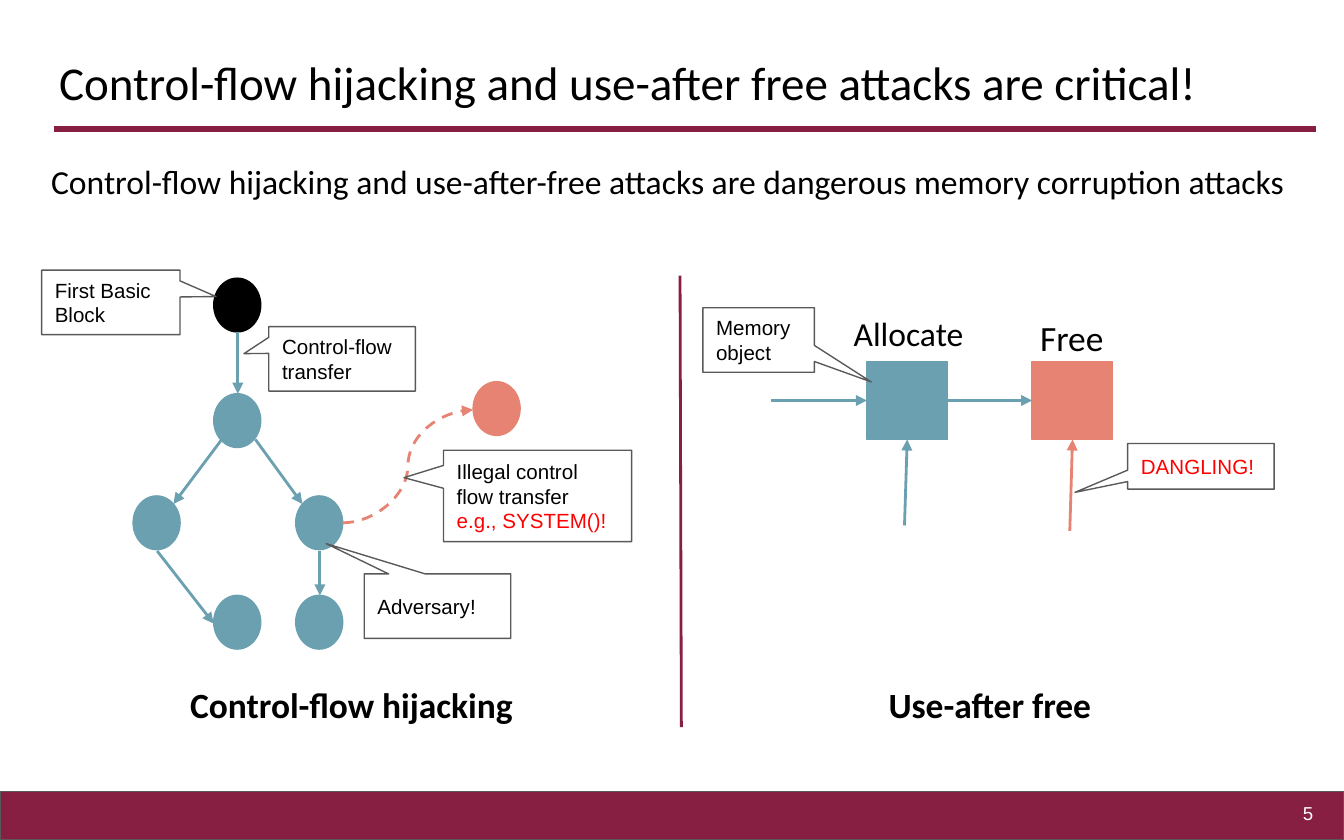
from typing import NamedTuple, Optional

from lxml import etree
from pptx import Presentation
from pptx import util as u
from pptx.dml.color import RGBColor
from pptx.enum import dml, shapes, text
from pptx.oxml import ns

COLORS = {
    "maroon": "861F41", "teal": "6BA0B1", "coral": "E78372", "black": "000000",
    "white": "FFFFFF", "gray": "595959", "red": "FF0000",
}
WIDTH, HEIGHT = u.Inches(10), u.Inches(6.25)
COLUMN, ROW = WIDTH / 100, HEIGHT / 62.5
LEFT, CENTER, RIGHT = text.PP_ALIGN.LEFT, text.PP_ALIGN.CENTER, text.PP_ALIGN.RIGHT
TOP, MIDDLE = text.MSO_ANCHOR.TOP, text.MSO_ANCHOR.MIDDLE
CIRCLE = shapes.MSO_SHAPE.FLOWCHART_CONNECTOR
SQUARE = shapes.MSO_SHAPE.RECTANGLE


class Box(NamedTuple):
    column: float
    row: float
    columns: float
    rows: float


class Line(NamedTuple):
    start: tuple[float, float]
    end: tuple[float, float]
    color: str = "teal"
    width: float = 1.5
    arrow: bool = True
    curved: bool = False


class Style(NamedTuple):
    size: float
    font: str = "Calibri"
    color: str = "black"
    bold: bool = False
    align: text.PP_ALIGN = LEFT
    anchor: text.MSO_ANCHOR = TOP


class Run(NamedTuple):
    words: str
    color: Optional[str] = None


class Label(NamedTuple):
    box: Box
    words: str
    style: Style


class Node(NamedTuple):
    column: float
    row: float
    color: str = "teal"


class Callout(NamedTuple):
    box: Box
    tip: tuple[float, float]
    paragraphs: list[Run]


def color(name: str) -> RGBColor:
    return RGBColor.from_string(COLORS[name])


def place(box: Box) -> tuple[int, int, int, int]:
    return (round(box.column * COLUMN), round(box.row * ROW),
            round(box.columns * COLUMN), round(box.rows * ROW))


def write(shape, runs: list[Run], style: Style) -> None:
    frame = shape.text_frame
    frame.word_wrap = True
    frame.auto_size = text.MSO_AUTO_SIZE.NONE
    frame.vertical_anchor = style.anchor
    frame.margin_left = frame.margin_right = u.Inches(0.1)
    frame.margin_top = frame.margin_bottom = u.Inches(0.1)
    for index, item in enumerate(runs):
        paragraph = frame.add_paragraph() if index else frame.paragraphs[0]
        paragraph.alignment = style.align
        run = paragraph.add_run()
        run.text = item.words
        run.font.name, run.font.size = style.font, u.Pt(style.size)
        run.font.bold = style.bold
        run.font.color.rgb = color(item.color or style.color)


def fill_placeholder(shape, label: Label) -> None:
    shape.left, shape.top, shape.width, shape.height = place(label.box)
    write(shape, [Run(label.words)], label.style)


def add_label(slide, label: Label) -> None:
    write(slide.shapes.add_textbox(*place(label.box)), [Run(label.words)], label.style)


def add_block(slide, kind, box: Box, fill: str, line: str):
    shape = slide.shapes.add_shape(kind, *place(box))
    shape.shadow.inherit = False
    shape.fill.solid()
    shape.fill.fore_color.rgb = color(fill)
    shape.line.color.rgb = color(line)
    shape.line.width = u.Pt(0.75)
    return shape


def add_line(slide, line: Line) -> None:
    kind = shapes.MSO_CONNECTOR.CURVE if line.curved else shapes.MSO_CONNECTOR.STRAIGHT
    points = [round(value * unit) for point in (line.start, line.end)
              for value, unit in zip(point, (COLUMN, ROW))]
    connector = slide.shapes.add_connector(kind, *points)
    connector.line.color.rgb = color(line.color)
    connector.line.width = u.Pt(line.width)
    if line.curved:
        connector.line.dash_style = dml.MSO_LINE.DASH
    if line.arrow:
        etree.SubElement(connector.line._get_or_add_ln(), ns.qn("a:tailEnd"), type="triangle")
    etree.SubElement(connector._element.spPr, ns.qn("a:effectLst"))


def add_callout(slide, callout: Callout) -> None:
    shape = add_block(slide, shapes.MSO_SHAPE.ROUNDED_RECTANGULAR_CALLOUT,
                      callout.box, "white", "gray")
    for index, value in enumerate((*callout.tip, 0)):
        shape.adjustments[index] = value
    write(shape, callout.paragraphs, Style(11, "Arial", anchor=MIDDLE))


CAPTION = Style(19, bold=True, align=CENTER)
TITLE = Label(Box(3.4, 2.6, 93.2, 7),
              "Control-flow hijacking and use-after free attacks are critical!",
              Style(25.2, anchor=MIDDLE))
BODY = Label(Box(2.8, 10.5, 95.6, 41.5),
             "Control-flow hijacking and use-after-free attacks are dangerous memory corruption attacks",
             Style(18))
LABELS = [
    Label(Box(92.7, 58.1, 6, 4.8), "5", Style(10, "Arial", "white", align=RIGHT, anchor=MIDDLE)),
    Label(Box(9.9, 49.8, 32.5, 5.2), "Control-flow hijacking", CAPTION),
    Label(Box(57.4, 49.8, 32.5, 5.2), "Use-after free", CAPTION),
    Label(Box(61.9, 22.3, 11.4, 5), "Allocate", Style(18, align=CENTER)),
    Label(Box(74.9, 22.5, 9.7, 5.2), "Free", Style(19, align=CENTER)),
]
BASIC_BLOCKS = [
    Node(15.9, 20.7, "black"), Node(15.9, 29.3), Node(9.9, 36.9), Node(22, 36.9),
    Node(15.9, 44.3), Node(22, 44.3), Node(35.2, 28.4, "coral"),
]
MEMORY_OBJECTS = [Node(64.5, 26.9), Node(76.8, 26.9, "coral")]
LINES = [
    Line((4, 9.6), (97.9, 9.6), "maroon", 3, arrow=False),
    Line((50.6, 20.5), (50.7, 54.1), "maroon", arrow=False),
    Line((17.7, 24.7), (17.7, 29.3)),
    Line((16.5, 32.7), (12.9, 37.5)),
    Line((19, 32.7), (22.5, 37.5)),
    Line((11.7, 41), (15.9, 46.4)),
    Line((23.8, 41), (23.8, 44.3)),
    Line((25.5, 38.9), (35.2, 30.5), "coral", curved=True),
    Line((57.4, 29.8), (64.5, 29.8)),
    Line((70.5, 29.8), (76.8, 29.8)),
    Line((67.3, 39.1), (67.5, 32.7)),
    Line((79.6, 39.5), (79.8, 32.7), "coral"),
]
CALLOUTS = [
    Callout(Box(3.1, 20.1, 10.3, 4.8), (0.76, -0.09), [Run("First Basic Block")]),
    Callout(Box(20, 24.3, 10.9, 4.8), (-0.67, -0.08), [Run("Control-flow transfer")]),
    Callout(Box(27.1, 42.7, 10.9, 4.8), (-0.76, -0.97), [Run("Adversary!")]),
    Callout(Box(33, 33.5, 14, 6.8), (-0.71, -0.2),
            [Run("Illegal control flow transfer"), Run("e.g., SYSTEM()!", "red")]),
    Callout(Box(52.3, 22.9, 8.3, 4.8), (1.01, 0.65), [Run("Memory object")]),
    Callout(Box(83.9, 33, 10.9, 3.4), (-0.86, 0.57), [Run("DANGLING!", "red")]),
]


def main() -> None:
    presentation = Presentation()
    presentation.slide_width, presentation.slide_height = WIDTH, HEIGHT
    slide = presentation.slides.add_slide(presentation.slide_layouts[1])
    body = slide.placeholders[1]
    paragraph = body.text_frame.paragraphs[0]
    properties = paragraph._p.get_or_add_pPr()
    properties.set("marL", "0")
    properties.set("indent", "0")
    etree.SubElement(properties, ns.qn("a:buNone"))
    paragraph.line_spacing = 1.15
    paragraph.space_before, paragraph.space_after = u.Pt(0), u.Pt(12)
    fill_placeholder(slide.shapes.title, TITLE)
    fill_placeholder(body, BODY)

    add_block(slide, SQUARE, Box(0, 58.9, 100, 3.6), "maroon", "gray")
    for node in BASIC_BLOCKS:
        add_block(slide, CIRCLE, Box(node.column, node.row, 3.5, 4), node.color, node.color)
    for node in MEMORY_OBJECTS:
        add_block(slide, SQUARE, Box(node.column, node.row, 6, 5.8), node.color, node.color)
    for line in LINES:
        add_line(slide, line)
    for label in LABELS:
        add_label(slide, label)
    for callout in CALLOUTS:
        add_callout(slide, callout)
    presentation.save("out.pptx")


if __name__ == "__main__":
    main()
